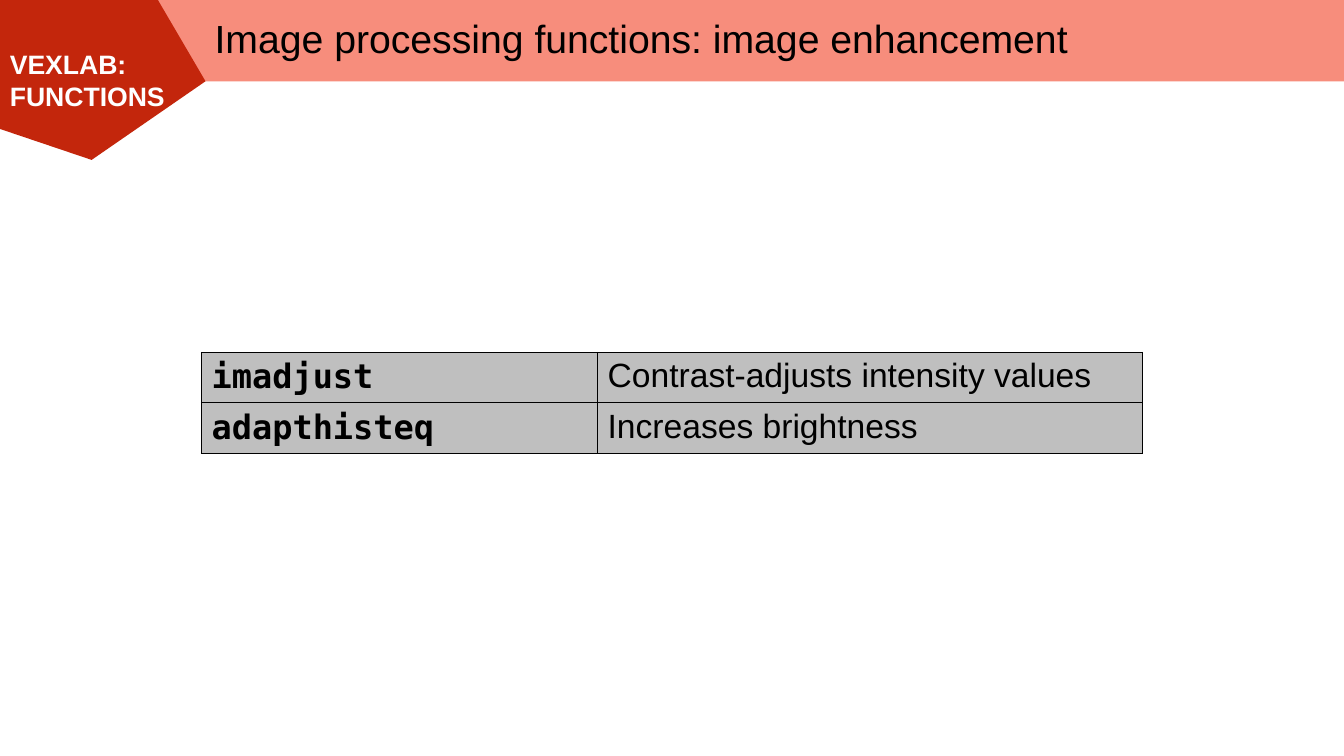
from lxml import etree
from pptx import Presentation
from pptx import util as u
from pptx.dml.color import RGBColor
from pptx.enum import shapes, text
from pptx.oxml.ns import qn

# Content
TITLE = "Image processing functions: image enhancement"
BADGE = "VEXLAB: FUNCTIONS"
ROWS = [
    ("imadjust", "Contrast-adjusts intensity values"),
    ("adapthisteq", "Increases brightness"),
]
SANS, MONO = "Arial", "DejaVu Sans Mono"
HUES = {"band": "F78D7C", "badge": "C3260C", "cell": "BFBFBF",
        "ink": "000000", "light": "FFFFFF"}

# Layout in cm
PAGE = (33.87, 19.05)
BAND = (2.33, 0, 31.54, 2.05)
HEAD = (5.16, 0.25, 28.98, 1.57)
EDGE = [(3.98, 0), (0, 0), (0, 3.25), (2.31, 4.03), (5.18, 2.05)]
LEFT, TOP, TALL = 5.08, 8.88, 1.22
COLS = (9.98, 13.74)


def cms(vals):
    return [u.Cm(v) for v in vals]


def paint(fill, hue):
    fill.solid()
    fill.fore_color.rgb = RGBColor.from_string(HUES[hue])


def write(frame, words, size, hue="ink", face=SANS, bold=False):
    par = frame.paragraphs[0]
    par.alignment = text.PP_ALIGN.LEFT
    run = par.add_run()
    run.text = words
    font = run.font
    font.name, font.size, font.bold = face, u.Pt(size), bold
    font.color.rgb = RGBColor.from_string(HUES[hue])
    return par


def plain(shape, hue):
    paint(shape.fill, hue)
    shape.line.fill.background()
    shape.shadow.inherit = False


def border(cell):
    props = cell._tc.get_or_add_tcPr()
    for spot, side in enumerate(("lnL", "lnR", "lnT", "lnB")):
        line = etree.Element(qn("a:" + side), w=str(u.Pt(1)))
        fill = etree.SubElement(line, qn("a:solidFill"))
        etree.SubElement(fill, qn("a:srgbClr"), val=HUES["ink"])
        props.insert(spot, line)


deck = Presentation()
deck.slide_width, deck.slide_height = cms(PAGE)
slide = deck.slides.add_slide(deck.slide_layouts[6])
items = slide.shapes

# Header band
plain(items.add_shape(shapes.MSO_SHAPE.RECTANGLE, *cms(BAND)), "band")

# Corner badge
edge = [cms(dot) for dot in EDGE]
pen = items.build_freeform(*edge[0])
pen.add_line_segments(edge[1:], close=True)
badge = pen.convert_to_shape()
plain(badge, "badge")
frame = badge.text_frame
frame.word_wrap = True
frame.vertical_anchor = text.MSO_ANCHOR.MIDDLE
write(frame, BADGE, 19, "light", bold=True)

# Title
frame = items.add_textbox(*cms(HEAD)).text_frame
frame.word_wrap = True
frame.vertical_anchor = text.MSO_ANCHOR.MIDDLE
write(frame, TITLE, 28).line_spacing = 0.9

# Function table
size = cms((LEFT, TOP, sum(COLS), TALL * len(ROWS)))
table = items.add_table(len(ROWS), len(COLS), *size).table
table.first_row = table.horz_banding = False
for col, wide in zip(table.columns, COLS):
    col.width = u.Cm(wide)
for r, row in enumerate(ROWS):
    table.rows[r].height = u.Cm(TALL)
    for c, words in enumerate(row):
        cell = table.cell(r, c)
        paint(cell.fill, "cell")
        border(cell)
        code = c == 0
        write(cell.text_frame, words, 24, face=MONO if code else SANS,
              bold=code)

deck.save("out.pptx")
